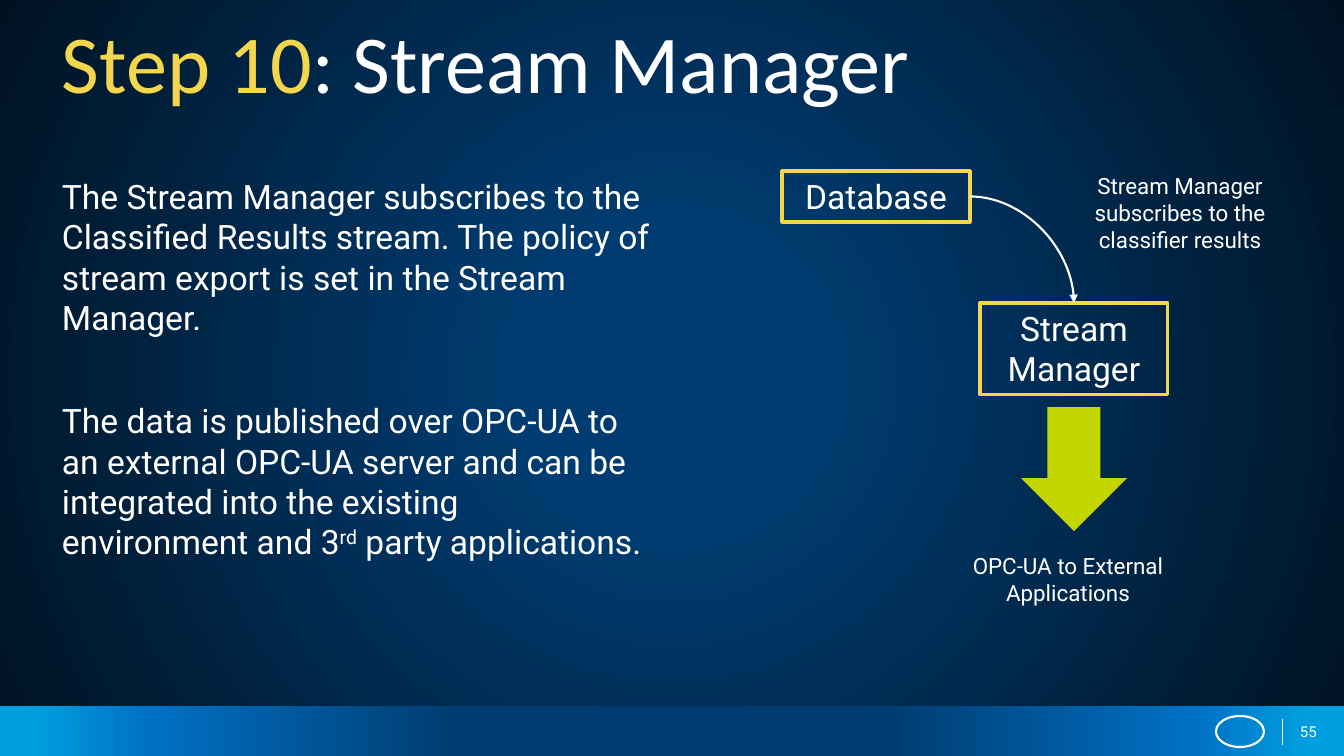
from lxml import etree
from pptx import Presentation
from pptx import util as u
from pptx.dml.color import RGBColor
from pptx.enum import shapes, text
from pptx.oxml import parse_xml
from pptx.oxml.ns import nsdecls, qn

WHITE = RGBColor(0xFF, 0xFF, 0xFF)
YELLOW = RGBColor(0xF3, 0xD5, 0x4E)
LIME = RGBColor(0xC3, 0xD6, 0x00)
NAVY = RGBColor(0x00, 0x3C, 0x71)
MIDNIGHT = RGBColor(0x00, 0x12, 0x22)
BLUE = RGBColor(0x00, 0x71, 0xC5)
CYAN = RGBColor(0x00, 0x9F, 0xDF)

SCALE = 914400 / 100.8
WIDTH, HEIGHT = 1344, 756
INSETS = (10, 5, 10, 5)
LEFT, CENTER = text.PP_ALIGN.LEFT, text.PP_ALIGN.CENTER

TITLE = [[("Step 10", YELLOW, None), (": Stream Manager", WHITE, None)]]
BODY = [
    [("The Stream Manager subscribes to the Classified Results stream. "
      "The policy of stream export is set in the Stream Manager.", WHITE, None)],
    [("The data is published over OPC-UA to an external OPC-UA server and can be "
      "integrated into the existing environment and 3", WHITE, None),
     ("rd", WHITE, 30000),
     (" party applications.", WHITE, None)],
]
BODY_GAP = 45
NODES = {
    "Database": (782, 171, 188, 51),
    "Stream Manager": (980, 303, 188, 92),
}
CAPTIONS = {
    "OPC-UA to External Applications": (929, 547, 278, 65),
    "Stream Manager subscribes to the classifier results": (1041, 167, 278, 92),
}
BACKGROUND_STOPS = [(0, NAVY), (19, NAVY), (100, MIDNIGHT)]
HALF_BAR = [(2.5, CYAN), (11, BLUE), (34, NAVY)]
BAR_STOPS = HALF_BAR + [(100 - spot, color) for spot, color in reversed(HALF_BAR)]
RADIAL = ('<a:path %s path="circle"><a:fillToRect l="50000" t="50000" '
          'r="50000" b="50000"/></a:path>' % nsdecls("a"))
ACROSS = '<a:lin %s ang="0" scaled="0"/>' % nsdecls("a")


def px(*lengths):
    return [u.Emu(round(length * SCALE)) for length in lengths]


def paint_gradient(fill, owner, stops, shading):
    fill.gradient()
    gradient = next(owner.element.iter(qn("a:gradFill")))
    for child in list(gradient):
        gradient.remove(child)
    stop_list = etree.SubElement(gradient, qn("a:gsLst"))
    for spot, color in stops:
        stop = etree.SubElement(stop_list, qn("a:gs"), pos=str(round(spot * 1000)))
        etree.SubElement(stop, qn("a:srgbClr"), val=str(color))
    gradient.append(parse_xml(shading))


def write(box, paragraphs, size, align=LEFT, font="Roboto", gap=0, spacing=None,
          insets=INSETS, wrap=True, anchor=text.MSO_ANCHOR.TOP):
    frame = box.text_frame
    frame.word_wrap = wrap
    frame.vertical_anchor = anchor
    (frame.margin_left, frame.margin_top,
     frame.margin_right, frame.margin_bottom) = px(*insets)
    for index, runs in enumerate(paragraphs):
        para = frame.add_paragraph() if index else frame.paragraphs[0]
        para.alignment = align
        if index:
            para.space_before = u.Pt(gap)
        if spacing:
            para.line_spacing = spacing
        for words, color, baseline in runs:
            span = para.add_run()
            span.text = words
            span.font.name = font
            span.font.size = u.Pt(size)
            span.font.color.rgb = color
            if baseline:
                span.font._element.set("baseline", str(baseline))


def add_shape(page, kind, place, fill=None, line=None, weight=2.25):
    shape = page.shapes.add_shape(kind, *px(*place))
    shape.shadow.inherit = False
    if fill is None:
        shape.fill.background()
    else:
        shape.fill.solid()
        shape.fill.fore_color.rgb = fill
    if line is None:
        shape.line.fill.background()
    else:
        shape.line.color.rgb = line
        shape.line.width = u.Pt(weight)
    return shape


def add_line(page, kind, ends, weight):
    line = page.shapes.add_connector(kind, *px(*ends))
    line.line.color.rgb = WHITE
    line.line.width = u.Pt(weight)
    etree.SubElement(line.element.spPr, qn("a:effectLst"))
    return line


def add_text(page, place, paragraphs, size, **style):
    write(page.shapes.add_textbox(*px(*place)), paragraphs, size, **style)


def main():
    deck = Presentation()
    deck.slide_width, deck.slide_height = px(WIDTH, HEIGHT)
    page = deck.slides.add_slide(deck.slide_layouts[6])
    paint_gradient(page.background.fill, page, BACKGROUND_STOPS, RADIAL)

    kinds = shapes.MSO_SHAPE
    footer = add_shape(page, kinds.RECTANGLE, (0, 706, WIDTH, 50))
    paint_gradient(footer.fill, footer, BAR_STOPS, ACROSS)
    add_line(page, shapes.MSO_CONNECTOR.STRAIGHT, (1282, 719, 1282, 745), 0.25)
    add_shape(page, kinds.OVAL, (1216, 716, 48, 31), line=WHITE, weight=1.5)
    add_text(page, (1300, 723, 18, 18), [[("55", WHITE, None)]], 10.7,
             insets=(0, 0, 0, 0), wrap=False, anchor=text.MSO_ANCHOR.MIDDLE)

    add_text(page, (52, 33, 1240, 80), TITLE, 58.7, font="Calibri", spacing=0.7)
    add_text(page, (52, 171, 609, 472), BODY, 24, gap=BODY_GAP)

    nodes = []
    for label, place in NODES.items():
        node = add_shape(page, kinds.RECTANGLE, place, line=YELLOW)
        write(node, [[(label, WHITE, None)]], 24, align=CENTER)
        nodes.append(node)
    database, manager = nodes

    stream = add_line(page, shapes.MSO_CONNECTOR.CURVE, (970, 197, 1074, 303), 1.5)
    stream.element.spPr.find(qn("a:prstGeom")).set("prst", "curvedConnector2")
    stream.begin_connect(database, 3)
    stream.end_connect(manager, 0)
    etree.SubElement(stream.line._get_or_add_ln(), qn("a:tailEnd"), type="triangle")

    add_shape(page, kinds.DOWN_ARROW, (1021, 407, 106, 124), fill=LIME)
    for label, place in CAPTIONS.items():
        add_text(page, place, [[(label, WHITE, None)]], 16, align=CENTER)

    deck.save("out.pptx")


if __name__ == "__main__":
    main()
